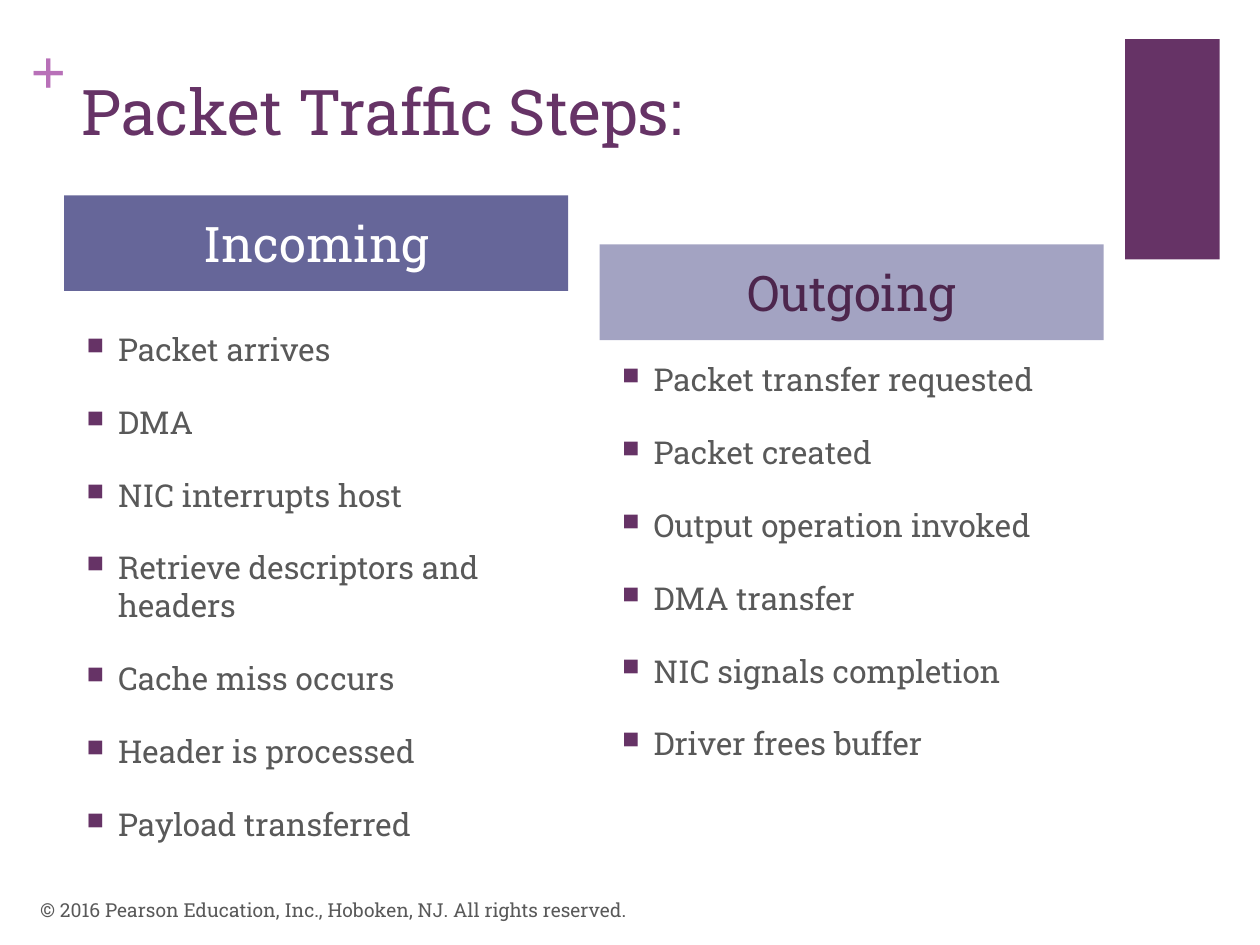
from lxml import etree
from pptx import Presentation
from pptx.dml.color import RGBColor
from pptx.enum.shapes import MSO_SHAPE as Shape
from pptx.enum.text import MSO_ANCHOR as Anchor, PP_ALIGN as Align
from pptx.oxml.ns import qn
from pptx.util import Inches, Pt

PURPLE = RGBColor(0x66, 0x33, 0x66)
ORCHID = RGBColor(0xB8, 0x70, 0xB8)
DARK_PURPLE = RGBColor(0x4D, 0x26, 0x4D)
SLATE = RGBColor(0x66, 0x66, 0x99)
PALE_SLATE = RGBColor(0xA3, 0xA3, 0xC2)
GRAY = RGBColor(0x59, 0x59, 0x59)
WHITE = RGBColor(0xFF, 0xFF, 0xFF)
FONT = "Roboto Slab"

deck = Presentation()
deck.slide_width, deck.slide_height = Inches(10), Inches(7.5)
page = deck.slides.add_slide(deck.slide_layouts[6])


def add_block(left, top, width, height, fill):
    block = page.shapes.add_shape(
        Shape.RECTANGLE, Inches(left), Inches(top), Inches(width), Inches(height))
    block.shadow.inherit = False
    block.fill.solid()
    block.fill.fore_color.rgb = fill
    block.line.fill.background()
    return block


def add_lines(frame, lines, size, color, font=FONT, bulleted=False):
    frame.word_wrap = True
    for index, line in enumerate(lines):
        para = frame.add_paragraph() if index else frame.paragraphs[0]
        para.text = line
        if bulleted:
            para.space_before = Pt(20 if index else 0)
            props = para._p.get_or_add_pPr()
            props.set("marL", str(Inches(0.25)))
            props.set("indent", str(-Inches(0.25)))
            bullet_color = etree.SubElement(props, qn("a:buClr"))
            etree.SubElement(bullet_color, qn("a:srgbClr"), val=str(PURPLE))
            etree.SubElement(props, qn("a:buSzPct"), val="75000")
            etree.SubElement(props, qn("a:buChar"), char="■")
        para.font.name = font
        para.font.size = Pt(size)
        para.font.color.rgb = color


# Corner block and plus sign
add_block(8.93, 0.31, 0.75, 1.75, PURPLE)
plus = page.shapes.add_textbox(
    Inches(0.24), Inches(0.25), Inches(0.29), Inches(0.61)).text_frame
plus.margin_left = plus.margin_right = plus.margin_top = plus.margin_bottom = 0
add_lines(plus, ["+"], 36, ORCHID, "Times New Roman")
plus.paragraphs[0].font.bold = True

# Title
title = page.shapes.add_textbox(
    Inches(0.55), Inches(0.53), Inches(8.26), Inches(1.22))
add_lines(title.text_frame, ["Packet Traffic Steps:"], 36, PURPLE)

# Two columns: heading, heading left and top, colours, list top, steps
columns = [
    ("Incoming", 0.51, 1.55, SLATE, WHITE, 2.57,
     ["Packet arrives", "DMA", "NIC interrupts host",
      "Retrieve descriptors and headers", "Cache miss occurs",
      "Header is processed", "Payload transferred"]),
    ("Outgoing", 4.76, 1.94, PALE_SLATE, DARK_PURPLE, 2.81,
     ["Packet transfer requested", "Packet created",
      "Output operation invoked", "DMA transfer",
      "NIC signals completion", "Driver frees buffer"]),
]
for heading, left, top, fill, color, list_top, steps in columns:
    header = add_block(left, top, 4, 0.76, fill).text_frame
    header.margin_top = header.margin_bottom = 0
    header.vertical_anchor = Anchor.MIDDLE
    add_lines(header, [heading], 28, color)
    header.paragraphs[0].alignment = Align.CENTER
    step_list = page.shapes.add_textbox(
        Inches(left + 0.08), Inches(list_top), Inches(4), Inches(4.02))
    add_lines(step_list.text_frame, steps, 18, GRAY, bulleted=True)

# Copyright line
footer = page.shapes.add_textbox(
    Inches(0.22), Inches(7.02), Inches(6.7), Inches(0.4)).text_frame
footer.vertical_anchor = Anchor.MIDDLE
add_lines(
    footer,
    ["© 2016 Pearson Education, Inc., Hoboken, NJ. All rights reserved."],
    11, GRAY)

deck.save("out.pptx")
